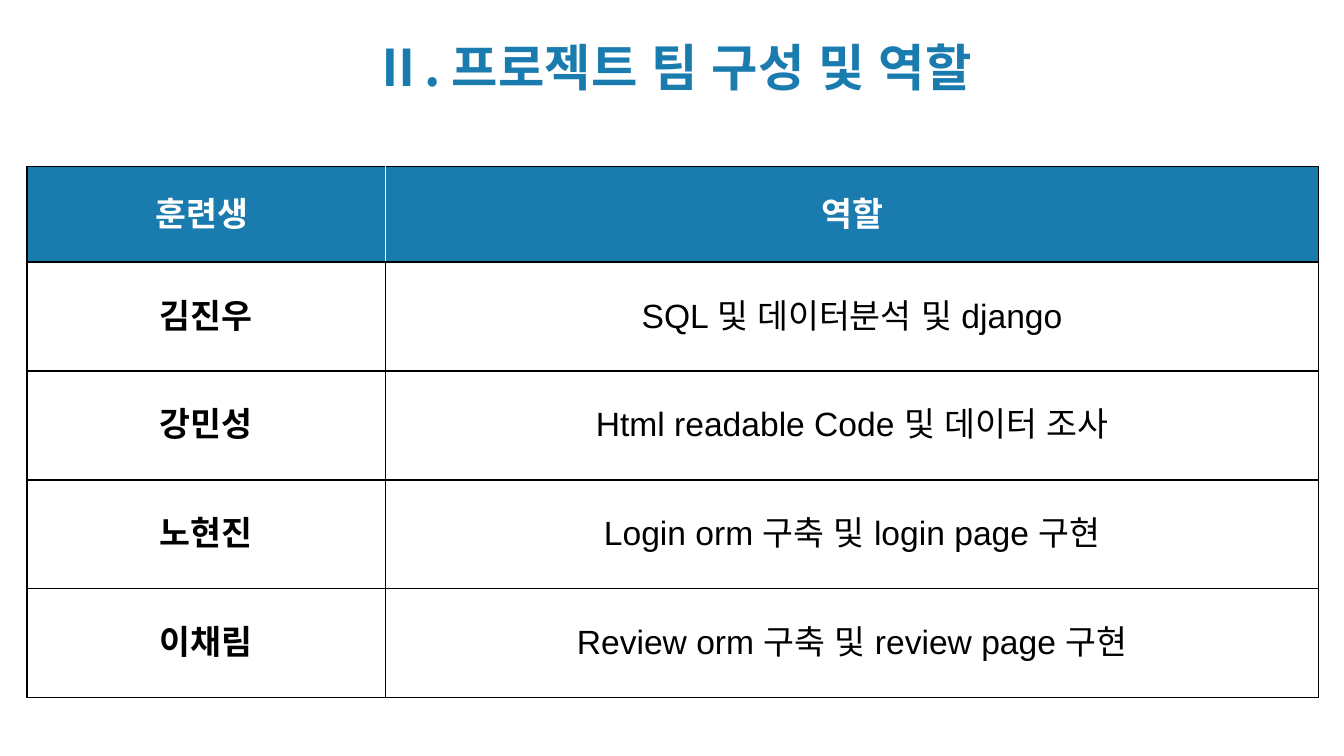
from lxml.etree import SubElement
from pptx import Presentation
from pptx.dml.color import RGBColor
from pptx.enum.text import MSO_ANCHOR, MSO_AUTO_SIZE, PP_ALIGN
from pptx.oxml.ns import qn
from pptx.util import Inches, Pt

COLORS = {"blue": "1A7BAE", "white": "FFFFFF", "black": "000000"}
TITLE_FONT, TABLE_FONT = "Noto Sans CJK KR", "Arial"

HEADER = ("훈련생 ", "역할")
MEMBERS = [
    ("김진우", "SQL 및 데이터분석 및 django"),
    ("강민성", "Html readable Code 및 데이터 조사"),
    ("노현진", "Login orm 구축 및 login page 구현"),
    ("이채림", "Review orm 구축 및 review page 구현"),
]
COLUMN_WIDTHS = (2.67, 6.94)
HEADER_HEIGHT, MEMBER_HEIGHT = 0.71, 0.81


def color(name):
    return RGBColor.from_string(COLORS[name])


def style_paragraph(para, font_name, size, color_name, bold):
    para.alignment = PP_ALIGN.CENTER
    font = para.font
    font.name, font.size, font.bold = font_name, Pt(size), bold
    font.color.rgb = color(color_name)
    # Spaces between Hangul words take their width from the East Asian slot
    defaults = para._p.pPr.find(qn("a:defRPr"))
    SubElement(defaults, qn("a:ea"), typeface=TABLE_FONT)


def add_title(page, text):
    title = page.shapes.title
    title.left, title.top = Inches(2.17), Inches(0.23)
    title.width, title.height = Inches(5.67), Inches(0.53)
    frame = title.text_frame
    frame.text = text
    frame.word_wrap = True
    frame.auto_size = MSO_AUTO_SIZE.NONE
    frame.vertical_anchor = MSO_ANCHOR.TOP
    frame.margin_left = frame.margin_right = Inches(0.07)
    frame.margin_top = frame.margin_bottom = Inches(0.04)
    para = frame.paragraphs[0]
    para.line_spacing = 1.0
    style_paragraph(para, TITLE_FONT, 27, "blue", True)


def set_borders(cell, **overrides):
    properties = cell._tc.get_or_add_tcPr()
    for index, side in enumerate(("left", "right", "top", "bottom")):
        line = properties.makeelement(qn(f"a:ln{side[0].upper()}"), w=str(Pt(1)))
        fill = SubElement(line, qn("a:solidFill"))
        SubElement(fill, qn("a:srgbClr"), val=COLORS[overrides.get(side, "black")])
        properties.insert(index, line)


def fill_cell(cell, text, fill_name, text_color, bold):
    cell.text = text
    cell.vertical_anchor = MSO_ANCHOR.MIDDLE
    cell.fill.solid()
    cell.fill.fore_color.rgb = color(fill_name)
    style_paragraph(cell.text_frame.paragraphs[0], TABLE_FONT, 18, text_color, bold)


def add_role_table(page):
    heights = [HEADER_HEIGHT] + [MEMBER_HEIGHT] * len(MEMBERS)
    table = page.shapes.add_table(
        len(heights), len(COLUMN_WIDTHS), Inches(0.2), Inches(1.24),
        Inches(sum(COLUMN_WIDTHS)), Inches(sum(heights))).table
    for column, width in zip(table.columns, COLUMN_WIDTHS):
        column.width = Inches(width)
    for row, height in zip(table.rows, heights):
        row.height = Inches(height)

    # Header row, with a white line between its cells
    for index, (text, inner_side) in enumerate(zip(HEADER, ("right", "left"))):
        cell = table.cell(0, index)
        fill_cell(cell, text, "blue", "white", True)
        set_borders(cell, **{inner_side: "white"})

    # Member rows: bold name, plain role
    for row, member in enumerate(MEMBERS, start=1):
        for index, text in enumerate(member):
            cell = table.cell(row, index)
            fill_cell(cell, text, "white", "black", index == 0)
            set_borders(cell)


def main():
    deck = Presentation()
    # Widescreen page, 16:9
    deck.slide_width = Inches(10)
    deck.slide_height = deck.slide_width * 9 // 16
    page = deck.slides.add_slide(deck.slide_layouts[5])
    add_role_table(page)
    add_title(page, "Ⅱ. 프로젝트 팀 구성 및 역할")
    deck.save("out.pptx")


if __name__ == "__main__":
    main()
